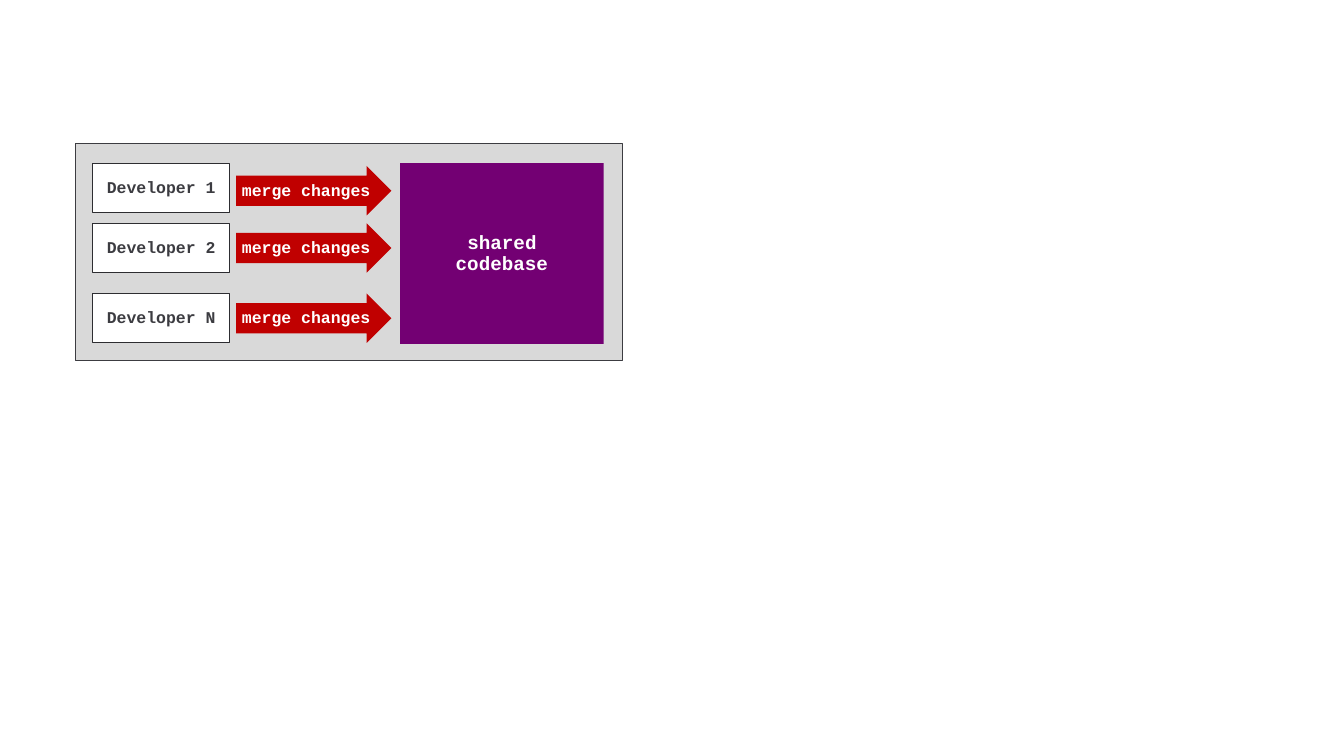
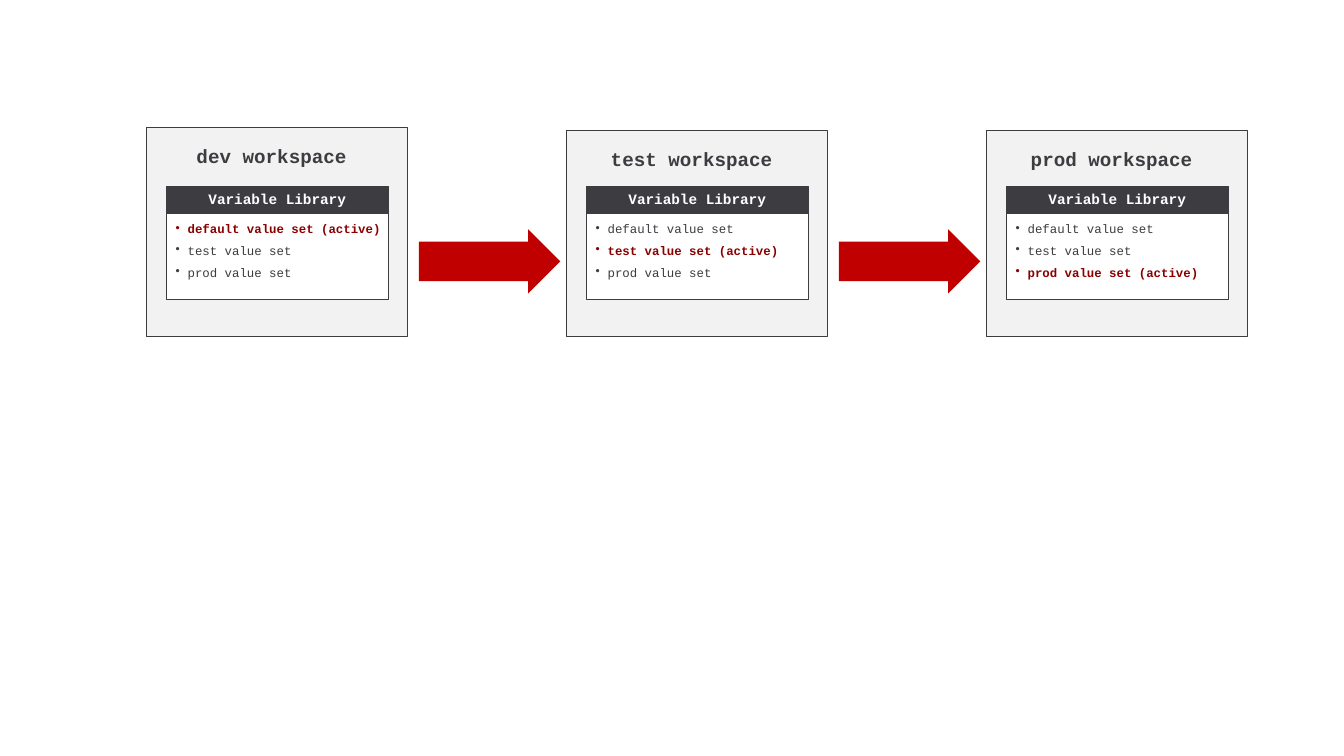
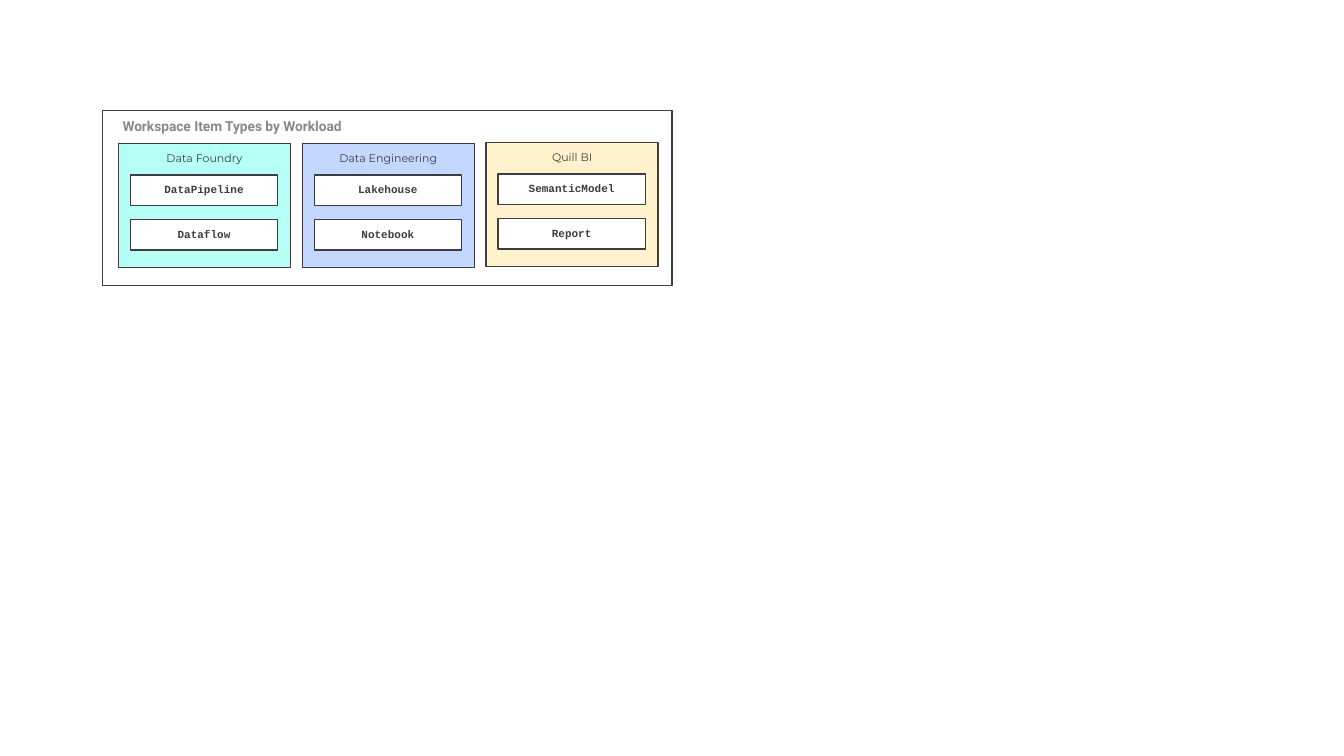
from collections import namedtuple

from lxml.etree import SubElement
from pptx import Presentation
from pptx.dml.color import RGBColor
from pptx.enum.shapes import MSO_SHAPE
from pptx.enum.text import MSO_ANCHOR, PP_ALIGN
from pptx.oxml.ns import qn
from pptx.util import Inches, Pt

WHITE = RGBColor(0xFF, 0xFF, 0xFF)
INK = RGBColor(0x3C, 0x3C, 0x41)
BOX_EDGE = RGBColor(0x2D, 0x2D, 0x31)
TITLE_GRAY = RGBColor(0x87, 0x87, 0x90)
MID_GRAY = RGBColor(0xD9, 0xD9, 0xD9)
PALE_GRAY = RGBColor(0xF2, 0xF2, 0xF2)
PURPLE = RGBColor(0x73, 0x00, 0x73)
RED = RGBColor(0xC0, 0x00, 0x00)
DARK_RED = RGBColor(0x8A, 0x00, 0x00)
AQUA = RGBColor(0xB5, 0xFF, 0xF6)
BLUE = RGBColor(0xC4, 0xD7, 0xFF)
CREAM = RGBColor(0xFF, 0xF2, 0xCC)

MONO = "Courier New"
NO_INSETS = (0, 0, 0, 0)
ARROW_SHAFT = 0.614
LINE_SPACING = 0.9
BULLET_INDENT = 0.12

Style = namedtuple("Style", "size color bold font", defaults=(True, MONO))


def add_block(slide, left, top, width, height, fill, edge=None, edge_width=0.75,
              kind=MSO_SHAPE.RECTANGLE):
    shape = slide.shapes.add_shape(
        kind, Inches(left), Inches(top), Inches(width), Inches(height))
    shape.shadow.inherit = False
    shape.fill.solid()
    shape.fill.fore_color.rgb = fill
    if edge is None:
        shape.line.fill.background()
    else:
        shape.line.color.rgb = edge
        shape.line.width = Pt(edge_width)
    return shape


def add_arrow(slide, left, top, width, height):
    arrow = add_block(slide, left, top, width, height, RED, kind=MSO_SHAPE.RIGHT_ARROW)
    arrow.adjustments[0] = ARROW_SHAFT
    return arrow


def prepare_frame(shape, insets, anchor):
    frame = shape.text_frame
    frame.word_wrap = True
    frame.vertical_anchor = anchor
    (frame.margin_left, frame.margin_top,
     frame.margin_right, frame.margin_bottom) = map(Inches, insets)
    return frame


def add_bullet(paragraph):
    properties = paragraph._p.get_or_add_pPr()
    properties.set("marL", str(Inches(BULLET_INDENT)))
    properties.set("indent", str(-Inches(BULLET_INDENT)))
    SubElement(properties, qn("a:buChar")).set("char", "•")


def write(shape, lines, insets=NO_INSETS, anchor=MSO_ANCHOR.MIDDLE,
          align=PP_ALIGN.CENTER, space_before=0, bulleted=False):
    frame = prepare_frame(shape, insets, anchor)
    for index, (text, style) in enumerate(lines):
        paragraph = frame.add_paragraph() if index else frame.paragraphs[0]
        paragraph.alignment = align
        paragraph.line_spacing = LINE_SPACING
        paragraph.space_before = Pt(space_before)
        if bulleted:
            add_bullet(paragraph)
        run = paragraph.add_run()
        run.text = text
        run.font.size = Pt(style.size)
        run.font.name = style.font
        run.font.bold = style.bold
        run.font.color.rgb = style.color


def build_merge_slide(slide):
    add_block(slide, 0.76, 1.45, 5.54, 2.2, MID_GRAY, INK)
    codebase = add_block(slide, 4.05, 1.65, 2.06, 1.83, PURPLE)
    write(codebase, [(word, Style(14, WHITE)) for word in ("shared", "codebase")])

    rows = (("Developer 1", 1.65, 1.68), ("Developer 2", 2.26, 2.26),
            ("Developer N", 2.97, 2.97))
    for name, box_top, arrow_top in rows:
        box = add_block(slide, 0.94, box_top, 1.38, 0.5, WHITE, BOX_EDGE)
        write(box, [(name, Style(12, INK))])
        arrow = add_arrow(slide, 2.39, arrow_top, 1.57, 0.5)
        write(arrow, [("merge changes", Style(12, WHITE))])


def add_workspace(slide, left, top, stage, active):
    bottom = 3.41
    panel = add_block(slide, left, top, 2.64, bottom - top, PALE_GRAY, INK)
    write(panel, [(f"{stage} workspace", Style(14, INK))],
          insets=(0.1, 0.2, 0.2, 0.2), anchor=MSO_ANCHOR.TOP)

    library_left = left + 0.2
    values = add_block(slide, library_left, 2.16, 2.25, 0.87, WHITE, INK)
    lines = []
    for value_set in ("default", "test", "prod"):
        if value_set == active:
            lines.append((f"{value_set} value set (active)", Style(9, DARK_RED)))
        else:
            lines.append((f"{value_set} value set", Style(9, INK, False)))
    write(values, lines, insets=(0.1, 0.1, 0, 0.1), anchor=MSO_ANCHOR.TOP,
          align=PP_ALIGN.LEFT, space_before=6, bulleted=True)

    header = add_block(slide, library_left, 1.89, 2.25, 0.27, INK, INK)
    write(header, [("Variable Library", Style(10.5, WHITE))], space_before=6)


def build_workspace_slide(slide):
    first_left, pitch = 1.48, 4.25
    stages = (("dev", "default", 1.29), ("test", "test", 1.32), ("prod", "prod", 1.32))
    for index, (stage, active, top) in enumerate(stages):
        left = first_left + index * pitch
        add_workspace(slide, left, top, stage, active)
        if index < len(stages) - 1:
            add_arrow(slide, left + 2.76, 2.32, 1.43, 0.65)


def add_workload(slide, left, top, name, fill, items):
    panel = add_block(slide, left, top, 1.74, 1.26, fill, INK, 1)
    write(panel, [(name, Style(8, INK, False, "Montserrat"))],
          insets=(0.2, 0.1, 0.2, 0.16), anchor=MSO_ANCHOR.TOP)
    for index, item in enumerate(items):
        box = add_block(slide, left + 0.12, top + 0.32 + index * 0.45, 1.49, 0.31,
                        WHITE, INK, 1)
        write(box, [(item, Style(8, INK))])


def build_item_types_slide(slide):
    frame = add_block(slide, 1.04, 1.12, 5.76, 1.77, WHITE, INK, 1)
    write(frame, [("Workspace Item Types by Workload", Style(10, TITLE_GRAY, True, "Roboto"))],
          insets=(0.2, 0.09, 0.2, 0.16), anchor=MSO_ANCHOR.TOP, align=PP_ALIGN.LEFT)

    first_left, pitch = 1.2, 1.86
    workloads = (
        ("Data Foundry", AQUA, 1.45, ("DataPipeline", "Dataflow")),
        ("Data Engineering", BLUE, 1.45, ("Lakehouse", "Notebook")),
        ("Quill BI", CREAM, 1.44, ("SemanticModel", "Report")),
    )
    for index, (name, fill, top, items) in enumerate(workloads):
        add_workload(slide, first_left + index * pitch, top, name, fill, items)


def main():
    presentation = Presentation()
    presentation.slide_width = Inches(13.6)
    presentation.slide_height = Inches(7.65)
    blank_layout = presentation.slide_layouts[6]
    for build in (build_merge_slide, build_workspace_slide, build_item_types_slide):
        build(presentation.slides.add_slide(blank_layout))
    presentation.save("out.pptx")


if __name__ == "__main__":
    main()
